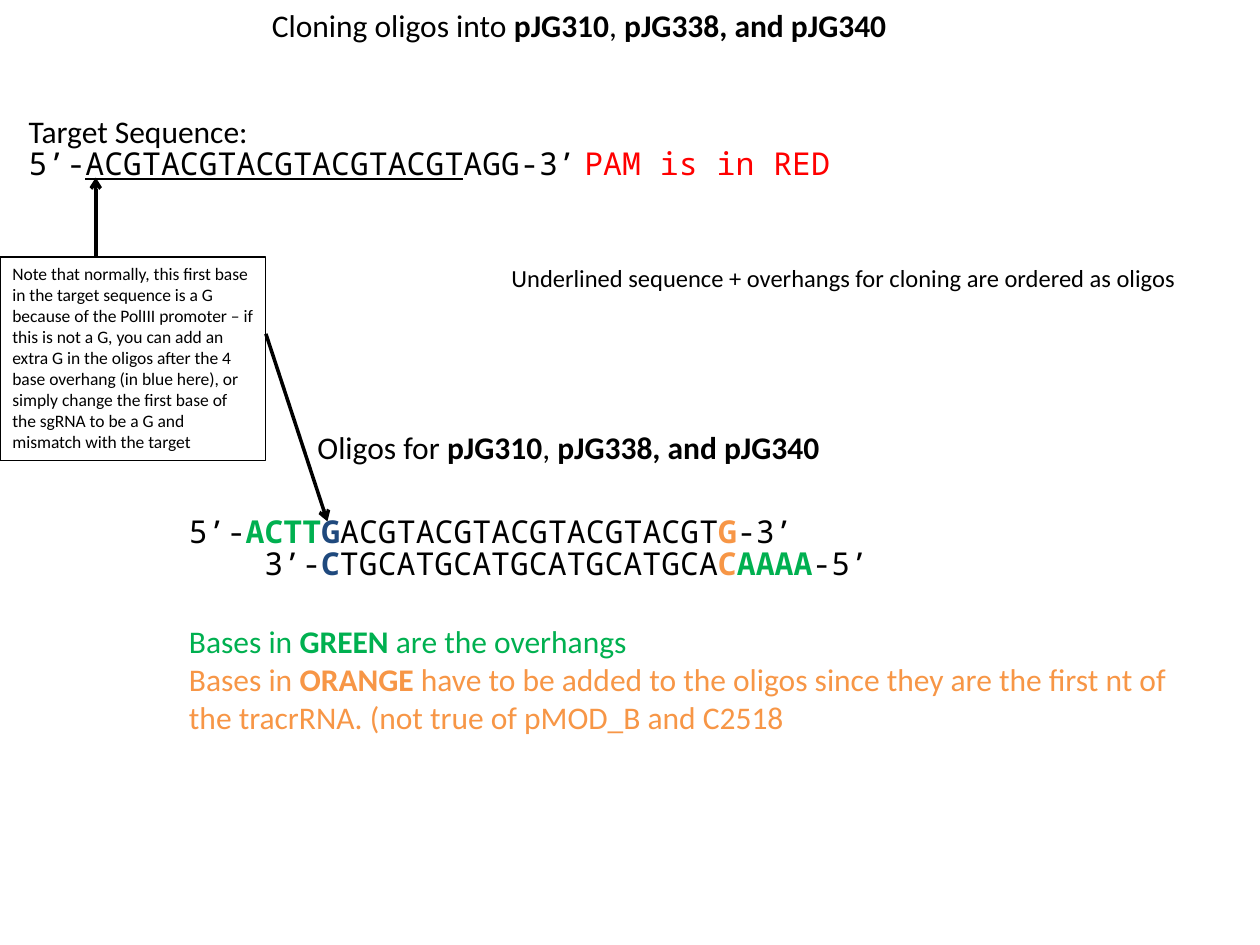
from dataclasses import dataclass
from lxml import etree
from pptx import Presentation
from pptx.dml.color import RGBColor
from pptx.enum.shapes import MSO_CONNECTOR, MSO_SHAPE
from pptx.enum.text import MSO_ANCHOR, MSO_AUTO_SIZE, PP_ALIGN
from pptx.oxml import parse_xml
from pptx.util import Cm, Pt

STRAIGHT = MSO_CONNECTOR.STRAIGHT
RECTANGLE = MSO_SHAPE.RECTANGLE
TOP = MSO_ANCHOR.TOP
FIT_SHAPE = MSO_AUTO_SIZE.SHAPE_TO_FIT_TEXT
LEFT = PP_ALIGN.LEFT
DRAWING_NS = "http://schemas.openxmlformats.org/drawingml/2006/main"


@dataclass(frozen=True)
class Theme:
    sans: str = "Calibri"
    mono: str = "Noto Sans Mono"
    black: str = "000000"
    red: str = "FF0000"
    green: str = "00B050"
    blue: str = "1F497D"
    orange: str = "F79646"
    body: int = 18
    remark: int = 14
    note: int = 10
    thin: float = 0.75
    thick: float = 2


T = Theme()
PLASMIDS = [("pJG310", "b"), ", ", ("pJG338, and pJG340", "b")]


def rgb(color):
    return RGBColor.from_string(color)


def outline(r, color, width):
    r._r.get_or_add_rPr().insert(0, parse_xml(
        f'<a:ln xmlns:a="{DRAWING_NS}" w="{Pt(width)}"><a:solidFill>'
        f'<a:srgbClr val="{color}"/></a:solidFill></a:ln>'))


def fill_text(tf, paragraphs, size, font, wrap):
    tf.word_wrap = wrap
    tf.auto_size = FIT_SHAPE
    tf.vertical_anchor = TOP
    for i, (color, runs) in enumerate(paragraphs):
        p = tf.paragraphs[0] if i == 0 else tf.add_paragraph()
        p.alignment = LEFT
        p.font.size, p.font.name = Pt(size), font
        p.font.color.rgb = rgb(color)
        for item in runs:
            text, style, tint = (((item,) if isinstance(item, str) else item) + ("", ""))[:3]
            r = p.add_run()
            r.text = text
            if style == "b":
                r.font.bold = True
            elif style == "u":
                r.font.underline = True
            elif style == "outline":
                outline(r, T.red, T.thin)
            if tint:
                r.font.color.rgb = rgb(tint)


def add_text(s, x, y, w, h, paragraphs, size=T.body, font=T.sans, wrap=False):
    sp = s.shapes.add_textbox(Cm(x), Cm(y), Cm(w), Cm(h))
    fill_text(sp.text_frame, paragraphs, size, font, wrap)


def add_arrow(s, x1, y1, x2, y2):
    c = s.shapes.add_connector(STRAIGHT, Cm(x1), Cm(y1), Cm(x2), Cm(y2))
    c.line.color.rgb = rgb(T.black)
    c.line.width = Pt(T.thick)
    tail = etree.SubElement(c.line._get_or_add_ln(), f"{{{DRAWING_NS}}}tailEnd")
    tail.set("type", "arrow")
    etree.SubElement(c._element.spPr, f"{{{DRAWING_NS}}}effectLst")


def add_heading(s, x, y, w, h, lead):
    add_text(s, x, y, w, h, [(T.black, [lead] + PLASMIDS)])


def add_target(s, x, y):
    add_text(s, x, y, 4.98, 1.02, [(T.black, ["Target Sequence:"])])
    sequence = ["5’-", ("ACGT" * 5, "u"), ("AGG", "outline"), "-3’"]
    add_text(s, x, y + 0.64, 11.68, 1.02, [(T.black, sequence)], font=T.mono)
    add_text(s, x + 11.2, y + 0.64, 5.51, 1.02, [(T.red, ["PAM is in RED"])], font=T.mono)


def add_note(s, x, y, w, h):
    sp = s.shapes.add_shape(RECTANGLE, Cm(x), Cm(y), Cm(w), Cm(h))
    sp.shadow.inherit = False
    sp.fill.background()
    sp.line.color.rgb = rgb(T.black)
    sp.line.width = Pt(T.thin)
    message = ("Note that normally, this first base in the target sequence is a G "
               "because of the PolIII promoter – if this is not a G, you can add an "
               "extra G in the oligos after the 4 base overhang (in blue here), or "
               "simply change the first base of the sgRNA to be a G and mismatch "
               "with the target")
    fill_text(sp.text_frame, [(T.black, [message])], T.note, T.sans, True)
    add_arrow(s, x + 1.93, y, x + 1.93, y - 1.6)
    add_arrow(s, x + w, y + 1.55, x + w + 1.24, y + 5.33)


def add_oligos(s, x, y, w, h):
    forward = ["5’-", ("ACTT", "b", T.green), ("G", "b", T.blue), "ACGT" * 5,
               ("G", "b", T.orange), "-3’"]
    reverse = ["3’-", ("C", "b", T.blue), "TGCA" * 5, ("C", "b", T.orange),
               ("AAAA", "b", T.green), "-5’"]
    for dx, dy, strand in ((0, 0, forward), (1.52, 0.66, reverse)):
        add_text(s, x + dx, y + dy, w, h, [(T.black, strand)], font=T.mono)


def add_legend(s, x, y, w, h):
    add_text(s, x, y, w, h, [
        (T.green, ["Bases in ", ("GREEN", "b"), " are the overhangs"]),
        (T.orange, ["Bases in ", ("ORANGE", "b"),
                    " have to be added to the oligos since they are the first nt of "
                    "the tracrRNA. (not true of pMOD_B and C2518"]),
    ], wrap=True)


def add_remark(s, x, y, w, h):
    message = "Underlined sequence + overhangs for cloning are ordered as oligos"
    add_text(s, x, y, w, h, [(T.black, [message])], size=T.remark)


prs = Presentation()
prs.slide_width, prs.slide_height = Cm(25.4), Cm(19.05)
s = prs.slides.add_slide(prs.slide_layouts[6])
add_heading(s, 5.23, 0, 13.03, 1.02, "Cloning oligos into ")
add_target(s, 0.33, 2.13)
add_heading(s, 6.15, 8.51, 10.74, 1.02, "Oligos for ")
add_oligos(s, 3.56, 10.19, 12.78, 1.02)
add_legend(s, 3.56, 12.42, 20.5, 2.57)
add_note(s, 0, 5.18, 5.36, 4.11)
add_remark(s, 10.06, 5.18, 14, 0.86)
prs.save("out.pptx")
